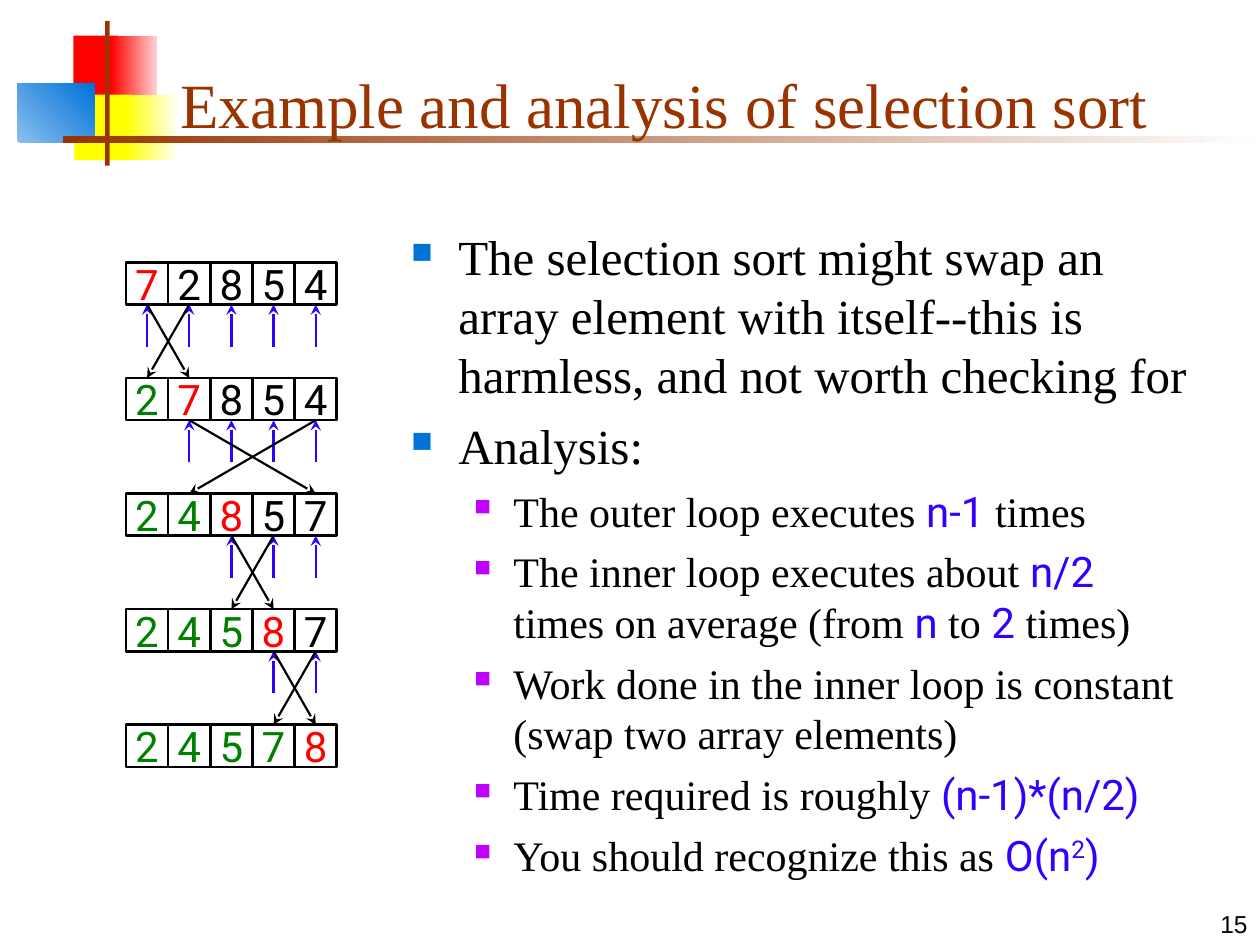
from lxml.etree import SubElement as Sub
from pptx import Presentation
from pptx.dml.color import RGBColor as RGB
from pptx.enum.shapes import MSO_CONNECTOR as LINK, MSO_SHAPE as FORM
from pptx.enum.text import MSO_ANCHOR as ANCHOR, PP_ALIGN as ALIGN
from pptx.oxml.ns import qn
from pptx.util import Cm, Pt

INK = {
    "black": "000000", "white": "FFFFFF", "brown": "993300",
    "red": "FF0000", "pink": "FFD1D1", "yellow": "FFFF00", "cream": "FFFFF0",
    "sky": "8BBFEE", "blue": "0073D9", "purple": "BF00FF",
    "code": "3300FF", "green": "007F00",
}
SERIF, SANS = "Times New Roman", "Roboto"

deck = Presentation()
deck.slide_width, deck.slide_height = Cm(25.4), Cm(19.05)
slide = deck.slides.add_slide(deck.slide_layouts[6])
shapes = slide.shapes


def style(font, name, color, size=None):
    font.name = name
    font.color.rgb = RGB.from_string(INK[color])
    if size:
        font.size = Pt(size)


def arrow(x1, y1, x2, y2, color):
    link = shapes.add_connector(LINK.STRAIGHT, Cm(x1), Cm(y1), Cm(x2), Cm(y2))
    link.line.color.rgb = RGB.from_string(INK[color])
    link.line.width = Pt(1.25)
    Sub(link.line._get_or_add_ln(), qn("a:tailEnd"), type="stealth")
    Sub(link._element.spPr, qn("a:effectLst"))


# Corner blocks and rules: left, top, width, height, colours, angle
blocks = [
    (1.48, 0.72, 0.9, 1.32, ["red"], 0),
    (2.24, 0.72, 0.92, 1.32, ["red", "pink"], 0),
    (1.5, 1.91, 1.17, 1.32, ["yellow"], 0),
    (2.54, 1.91, 1.02, 1.32, ["yellow", "cream"], 0),
    (0.35, 1.69, 1.56, 1.18, ["sky", "blue"], 45),
    (2.12, 0.42, 0.09, 2.92, ["brown"], 0),
    (1.27, 2.75, 24.13, 0.14, ["brown", "white"], 0),
]
for x, y, w, h, inks, angle in blocks:
    block = shapes.add_shape(FORM.RECTANGLE, Cm(x), Cm(y), Cm(w), Cm(h))
    block.shadow.inherit = False
    block.line.fill.background()
    if len(inks) == 1:
        block.fill.solid()
        block.fill.fore_color.rgb = RGB.from_string(INK[inks[0]])
    else:
        block.fill.gradient()
        block.fill.gradient_angle = angle
        for stop, ink in zip(block.fill.gradient_stops, inks):
            stop.color.rgb = RGB.from_string(INK[ink])

# Title and page number
labels = [
    (3.39, 0.64, 21.64, 2.33, "Example and analysis of selection sort",
     SERIF, "brown", 36, ALIGN.LEFT),
    (20.11, 17.78, 5.29, 1.27, "15", "Arial", "black", 14, ALIGN.RIGHT),
]
for x, y, w, h, words, face, ink, size, align in labels:
    frame = shapes.add_textbox(Cm(x), Cm(y), Cm(w), Cm(h)).text_frame
    frame.word_wrap = True
    frame.vertical_anchor = ANCHOR.BOTTOM
    para = frame.paragraphs[0]
    para.text = words
    para.alignment = align
    style(para.font, face, ink, size)

# Bullet text: level and runs, where every second run is code
points = [
    (0, ["The selection sort might swap an array element with itself"
         "--this is harmless, and not worth checking for"]),
    (0, ["Analysis:"]),
    (1, ["The outer loop executes ", "n-1", " times"]),
    (1, ["The inner loop executes about ", "n/2", " times on average (from ",
         "n", " to ", "2", " times)"]),
    (1, ["Work done in the inner loop is constant (swap two array elements)"]),
    (1, ["Time required is roughly ", "(n-1)*(n/2)"]),
    (1, ["You should recognize this as ", "O(n^2^)"]),
]
# Per level: text size, space before, left edge, hang, bullet colour and percent
looks = [(28, 7, 0.95, 0.95, "blue", 60), (24, 6, 2.06, 0.79, "purple", 55)]
body = shapes.add_textbox(Cm(8.04), Cm(4.45), Cm(16.3), Cm(13.55)).text_frame
body.word_wrap = True
for i, (level, parts) in enumerate(points):
    size, gap, left, hang, ink, scale = looks[level]
    para = body.paragraphs[0] if i == 0 else body.add_paragraph()
    para.level = level
    props = para._p.get_or_add_pPr()
    props.set("marL", str(Cm(left)))
    props.set("indent", str(-Cm(hang)))
    Sub(Sub(props, qn("a:buClr")), qn("a:srgbClr"), val=INK[ink])
    Sub(props, qn("a:buSzPct"), val=str(scale * 1000))
    Sub(props, qn("a:buChar"), char="■")
    para.space_before = Pt(gap)
    style(para.font, SERIF, "black", size)
    for j, part in enumerate(parts):
        for k, piece in enumerate(part.split("^")):
            run = para.add_run()
            run.text = piece
            if j % 2:
                style(run.font, SANS, "code")
            if k % 2:
                run.font._element.set("baseline", "30000")

# Sort steps: cells, search arrows, then the swap down to the next row
side, left, top, pitch = 0.85, 2.54, 5.29, 2.33
mids = [left + side * (col + 0.5) for col in range(5)]
nums = [7, 2, 8, 5, 4]
for row in range(5):
    y = top + row * pitch
    for col, num in enumerate(nums):
        cell = shapes.add_shape(FORM.FLOWCHART_PROCESS, Cm(left + col * side),
                                Cm(y), Cm(side), Cm(side))
        cell.shadow.inherit = False
        cell.fill.background()
        cell.line.color.rgb = RGB.from_string(INK["black"])
        cell.line.width = Pt(1.5)
        frame = cell.text_frame
        frame.word_wrap = False
        frame.vertical_anchor = ANCHOR.MIDDLE
        para = frame.paragraphs[0]
        para.text = str(num)
        para.alignment = ALIGN.CENTER
        ink = "green" if col < row else "red" if col == row else "black"
        style(para.font, SANS, ink, 24)
    if row == 4:
        break
    base = y + side
    for mid in mids[row:]:
        arrow(mid, base + side, mid, base, "code")
    low = nums.index(min(nums[row:]))
    arrow(mids[row], base, mids[low], y + pitch, "black")
    arrow(mids[low], base, mids[row], y + pitch, "black")
    nums[row], nums[low] = nums[low], nums[row]

deck.save("out.pptx")
